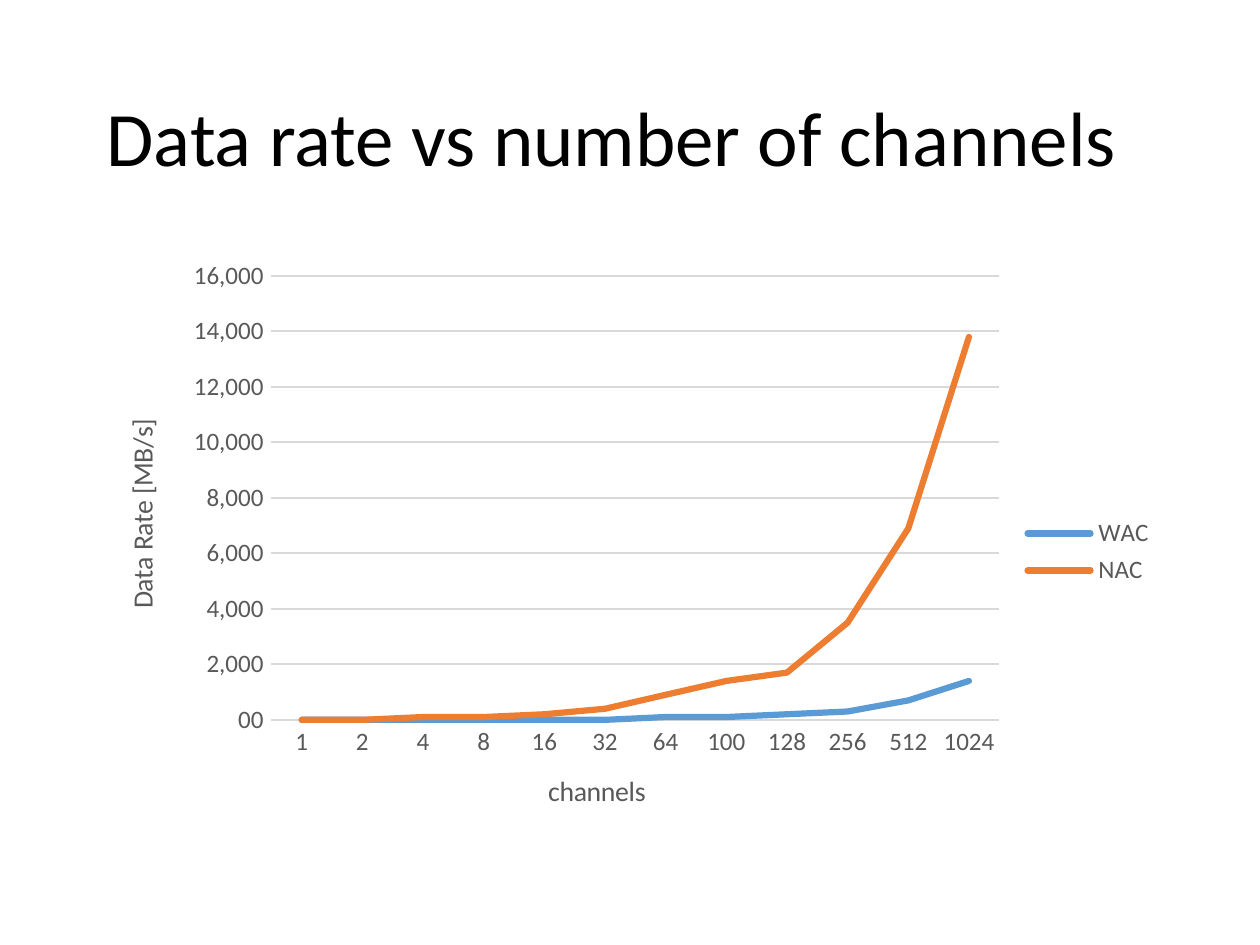
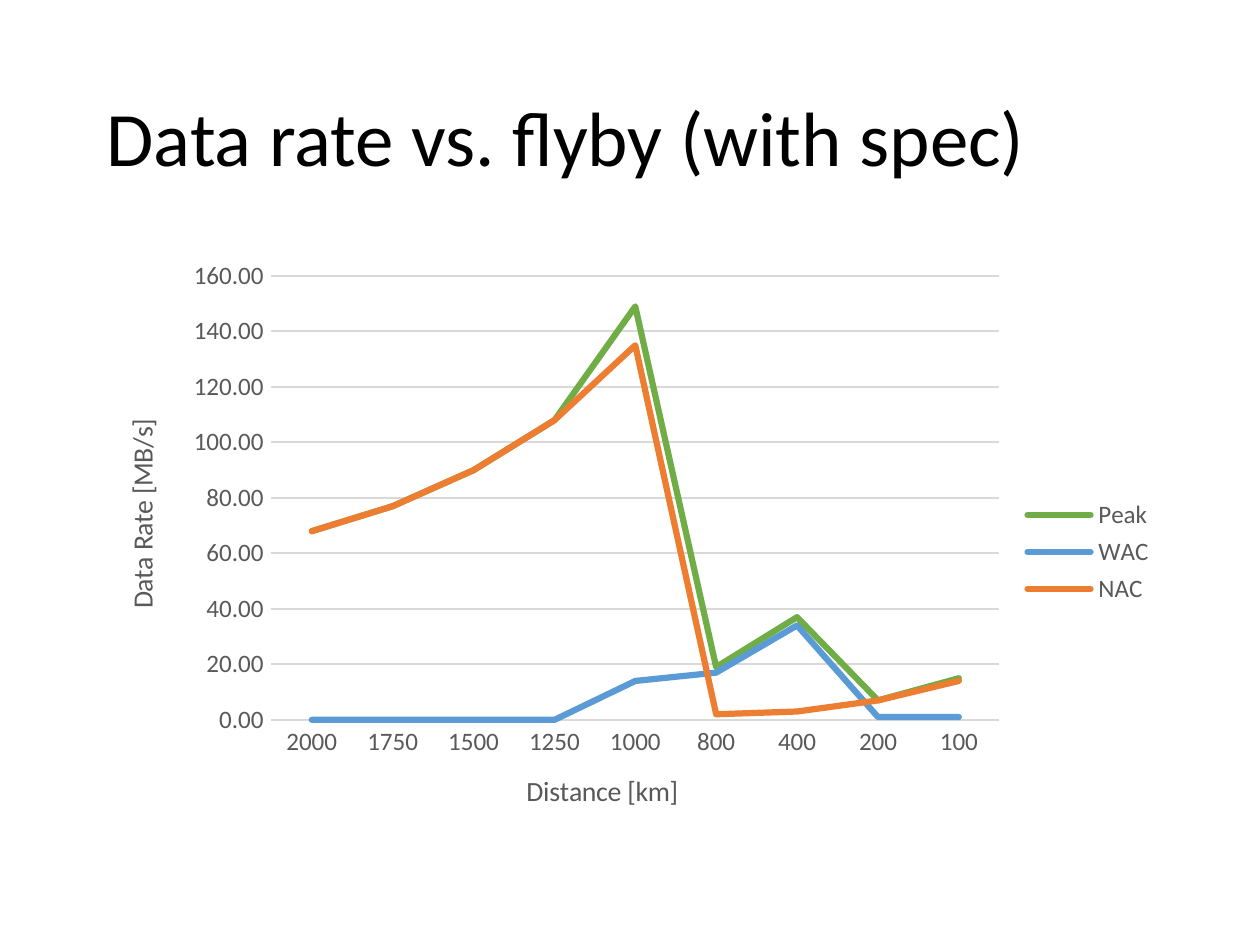
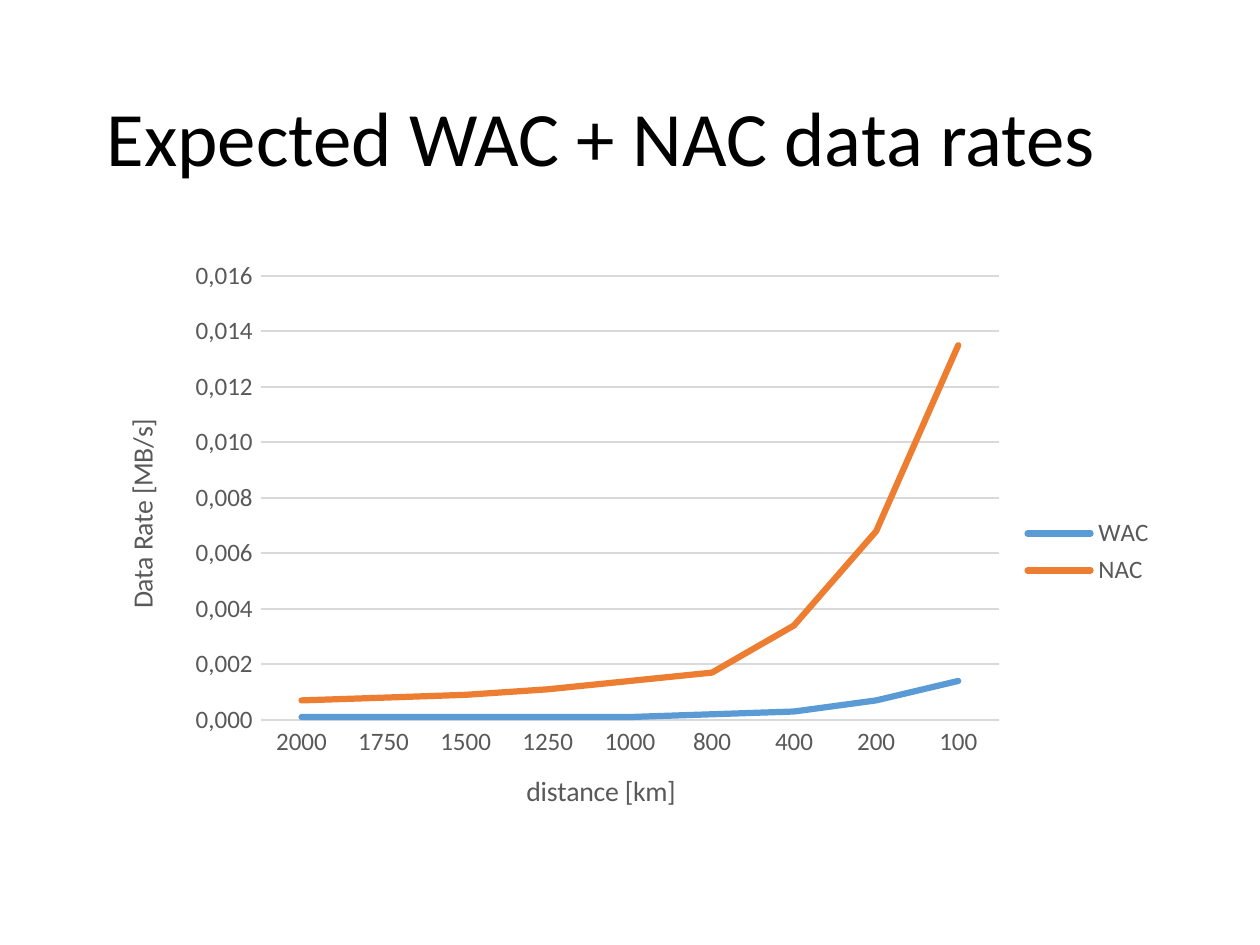
from lxml.etree import SubElement
from pptx import Presentation
from pptx.chart.data import CategoryChartData
from pptx.dml.color import RGBColor
from pptx.enum.chart import XL_CHART_TYPE, XL_LEGEND_POSITION, XL_TICK_MARK
from pptx.enum.text import MSO_ANCHOR, MSO_AUTO_SIZE, PP_ALIGN
from pptx.oxml.ns import qn
from pptx.util import Cm, Pt

BLACK = RGBColor(0x00, 0x00, 0x00)
GREY = RGBColor(0x59, 0x59, 0x59)
PALE_GREY = RGBColor(0xD9, 0xD9, 0xD9)
BLUE = RGBColor(0x5B, 0x9B, 0xD5)
ORANGE = RGBColor(0xED, 0x7D, 0x31)
GREEN = RGBColor(0x70, 0xAD, 0x47)
SERIES_COLORS = {"Peak": GREEN, "WAC": BLUE, "NAC": ORANGE}
FONT = "Calibri"
LEFT, WIDTH = Cm(1.1), Cm(13.8)
PLOT_RIGHT = 0.84

DISTANCES = ["2000", "1750", "1500", "1250", "1000", "800", "400", "200", "100"]

SLIDES = [
    {
        "title": "Data rate vs number of channels",
        "axis": "channels",
        "axis_left": 0.42,
        "plot_left": 0.17,
        "format": "#,#00",
        "top": 16000,
        "categories": ["1", "2", "4", "8", "16", "32", "64", "100", "128",
                       "256", "512", "1024"],
        "series": {
            "WAC": [0, 0, 0, 0, 0, 0, 100, 100, 200, 300, 700, 1400],
            "NAC": [0, 0, 100, 100, 200, 400, 900, 1400, 1700, 3500, 6900, 13800],
        },
    },
    {
        "title": "Data rate vs. flyby (with spec)",
        "axis": "Distance [km]",
        "axis_left": 0.4,
        "plot_left": 0.17,
        "format": "0.00",
        "top": 160,
        "categories": DISTANCES,
        "series": {
            "Peak": [68, 77, 90, 108, 149, 19, 37, 7, 15],
            "WAC": [0, 0, 0, 0, 14, 17, 34, 1, 1],
            "NAC": [68, 77, 90, 108, 135, 2, 3, 7, 14],
        },
    },
    {
        "title": "Expected WAC + NAC data rates",
        "axis": "distance [km]",
        "axis_left": 0.4,
        "plot_left": 0.16,
        "format": "0,000",
        "top": 16,
        "categories": DISTANCES,
        "series": {
            "WAC": [0.1, 0.1, 0.1, 0.1, 0.1, 0.2, 0.3, 0.7, 1.4],
            "NAC": [0.7, 0.8, 0.9, 1.1, 1.4, 1.7, 3.4, 6.8, 13.5],
        },
    },
]


def set_layout(parent, index, **settings):
    """Give a chart part a manual layout, in fractions of the chart."""
    for old in parent.findall(qn("c:layout")):
        parent.remove(old)
    layout = SubElement(parent, qn("c:layout"))
    manual = SubElement(layout, qn("c:manualLayout"))
    for name, value in settings.items():
        SubElement(manual, qn("c:" + name)).set("val", str(value))
    parent.insert(index, layout)


def style_font(font, size, color):
    """Set the typeface, size and colour of a font."""
    font.name = FONT
    font.size = Pt(size)
    font.bold = False
    font.color.rgb = color


deck = Presentation()
deck.slide_width, deck.slide_height = Cm(16), Cm(12)
title_only = deck.slide_layouts[5]
title_place = title_only.placeholders[0]
title_place.left, title_place.top = LEFT, Cm(0.64)
title_place.width, title_place.height = WIDTH, Cm(2.32)

for content in SLIDES:
    page = deck.slides.add_slide(title_only)
    frame = page.shapes.title.text_frame
    frame.text = content["title"]
    frame.vertical_anchor = MSO_ANCHOR.MIDDLE
    frame.auto_size = MSO_AUTO_SIZE.NONE
    para = frame.paragraphs[0]
    para.alignment = PP_ALIGN.LEFT
    para.line_spacing = 0.9
    style_font(para.runs[0].font, 27.7, BLACK)

    data = CategoryChartData()
    data.categories = content["categories"]
    for name, values in content["series"].items():
        data.add_series(name, values)
    chart = page.shapes.add_chart(
        XL_CHART_TYPE.LINE, LEFT, Cm(3.2), WIDTH, Cm(7.62), data).chart
    style_font(chart.font, 10, BLACK)
    chart.has_title = False
    chart.has_legend = True
    chart.legend.position = XL_LEGEND_POSITION.RIGHT
    chart.legend.include_in_layout = False
    style_font(chart.legend.font, 9, GREY)

    plot = chart.plots[0]
    plot.vary_by_categories = False
    for series in plot.series:
        series.smooth = False
        series.format.line.color.rgb = SERIES_COLORS[series.name]
        series.format.line.width = Pt(2.25)

    category_axis, value_axis = chart.category_axis, chart.value_axis
    for axis, caption in ((category_axis, content["axis"]),
                          (value_axis, "Data Rate [MB/s]")):
        axis.major_tick_mark = XL_TICK_MARK.NONE
        axis.minor_tick_mark = XL_TICK_MARK.NONE
        style_font(axis.tick_labels.font, 9, GREY)
        caption_frame = axis.axis_title.text_frame
        caption_frame.text = caption
        style_font(caption_frame.paragraphs[0].runs[0].font, 10, GREY)

    category_axis.has_major_gridlines = False
    value_axis.has_major_gridlines = True
    for line in (category_axis.format.line, value_axis.major_gridlines.format.line):
        line.color.rgb = PALE_GREY
        line.width = Pt(0.75)
    value_axis.format.line.fill.background()
    value_axis.minimum_scale = 0
    value_axis.maximum_scale = content["top"]
    value_axis.major_unit = content["top"] / 8
    value_axis.tick_labels.number_format = content["format"]
    value_axis.tick_labels.number_format_is_linked = False

    space = chart._chartSpace
    for outline in space.xpath(".//c:ser/c:spPr/a:ln"):
        outline.set("cap", "rnd")
    space.xpath(".//c:valAx/c:title//a:bodyPr")[0].set("rot", "-5400000")
    set_layout(space.xpath(".//c:catAx/c:title")[0], 1,
               xMode="edge", yMode="edge", x=content["axis_left"], y=0.86)
    set_layout(space.xpath(".//c:valAx/c:title")[0], 1,
               xMode="edge", yMode="edge", x=0.03, y=0.27)
    set_layout(space.xpath(".//c:plotArea")[0], 0,
               layoutTarget="inner", xMode="edge", yMode="edge",
               x=content["plot_left"], y=0.04,
               w=round(PLOT_RIGHT - content["plot_left"], 2), h=0.74)

deck.save("out.pptx")
